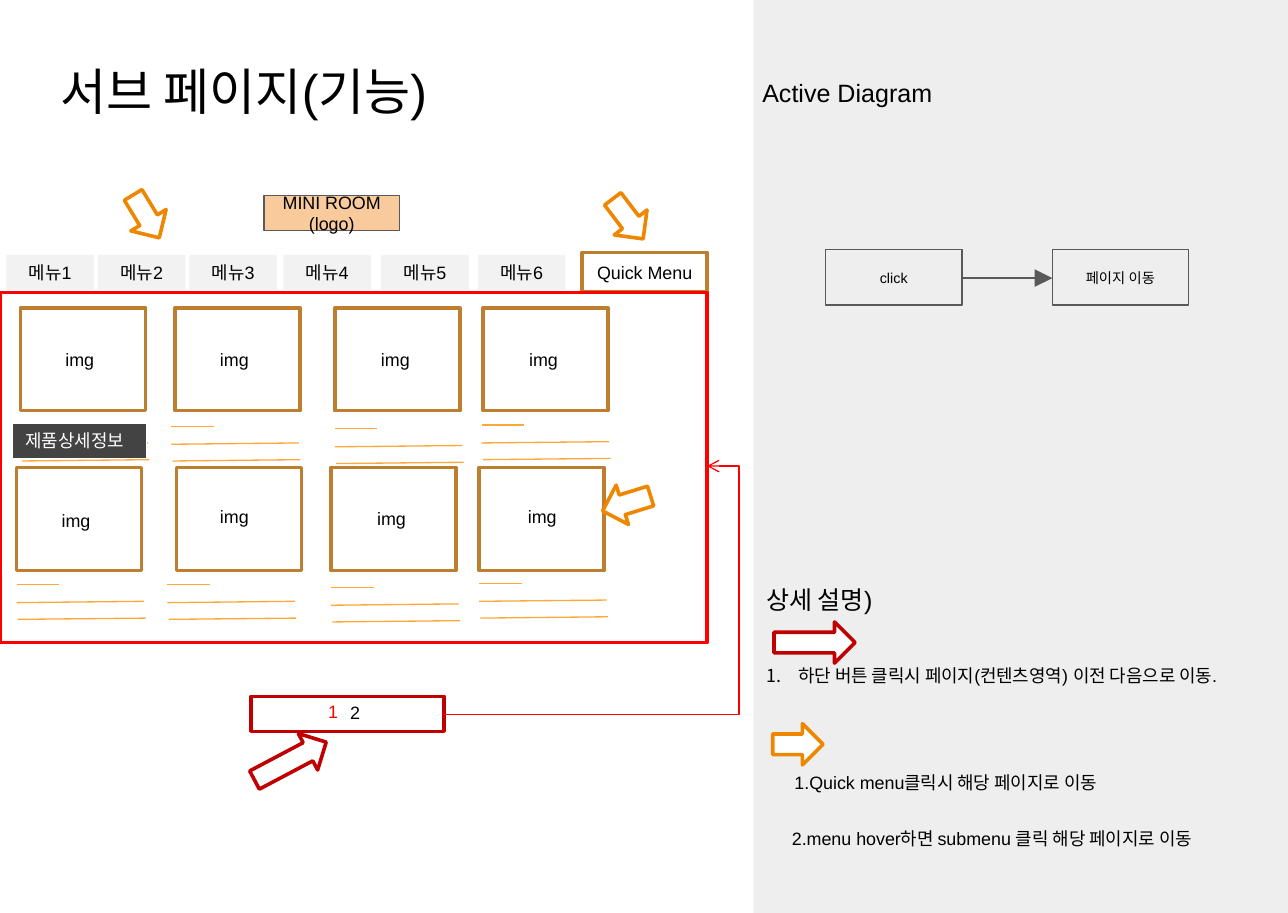
from lxml import etree
from pptx import Presentation
from pptx.dml.color import RGBColor
from pptx.enum.shapes import MSO_CONNECTOR, MSO_SHAPE
from pptx.enum.text import MSO_ANCHOR, PP_ALIGN
from pptx.oxml.ns import qn
from pptx.util import Emu, Pt

PX = 9144  # 100 px to the inch
RECT, ARROW = MSO_SHAPE.RECTANGLE, MSO_SHAPE.RIGHT_ARROW
STRAIGHT, ELBOW = MSO_CONNECTOR.STRAIGHT, MSO_CONNECTOR.ELBOW
LEFT, CENTER = PP_ALIGN.LEFT, PP_ALIGN.CENTER
TOP, MIDDLE = MSO_ANCHOR.TOP, MSO_ANCHOR.MIDDLE

BLACK, WHITE, PANEL, GREY = "000000", "FFFFFF", "EEEEEE", "595959"
RED, DARK_RED, ORANGE = "FF0000", "C00000", "EF8600"
BROWN, AMBER = "BD7F2F", "FEA83A"


def px(*values):
    return [Emu(v * PX) for v in values]


def rgb(color):
    return RGBColor.from_string(color)


class Wireframe:
    font = "Arial"

    def __init__(self, slide):
        self.shapes = slide.shapes

    def set_text(self, s, text, size=10, color=BLACK, align=LEFT, anchor=TOP, pad=5):
        tf = s.text_frame
        tf.word_wrap = True
        tf.vertical_anchor = anchor
        tf.margin_left, tf.margin_right = px(10, 10)
        tf.margin_top, tf.margin_bottom = px(pad, pad)
        tf.text = text
        p = tf.paragraphs[0]
        p.alignment = align
        self.style(p, size, color)
        return tf

    def style(self, p, size, color=BLACK):
        p.font.name = self.font
        p.font.size = Pt(size)
        p.font.color.rgb = rgb(color)

    def title(self, x, y, w, h, text, size):
        s = self.shapes.title
        s.left, s.top, s.width, s.height = px(x, y, w, h)
        self.set_text(s, text, size, pad=10)

    def label(self, x, y, w, h, text, size=10, color=BLACK, pad=5):
        s = self.shapes.add_textbox(*px(x, y, w, h))
        return self.set_text(s, text, size, color, pad=pad)

    def box(self, x, y, w, h, fill=None, line=None, width=2.0, kind=RECT, angle=0):
        s = self.shapes.add_shape(kind, *px(x, y, w, h))
        s.shadow.inherit = False
        s.rotation = angle
        if fill:
            s.fill.solid()
            s.fill.fore_color.rgb = rgb(fill)
        else:
            s.fill.background()
        if line:
            s.line.color.rgb = rgb(line)
            s.line.width = Pt(width)
        else:
            s.line.fill.background()
        return s

    def arrow(self, x, y, w, color, angle=0):
        self.box(x, y, w, 32, WHITE, color, kind=ARROW, angle=angle)

    def line(self, x1, y1, x2, y2, color, kind=STRAIGHT, head=None, head_size="med", bend=None):
        s = self.shapes.add_connector(kind, *px(x1, y1, x2, y2))
        s.line.color.rgb = rgb(color)
        s.line.width = Pt(0.75)
        sp_pr = s._element.spPr
        if head:
            etree.SubElement(sp_pr.find(qn("a:ln")), qn("a:tailEnd"),
                             type=head, w=head_size, len=head_size)
        if bend:
            guides = sp_pr.find(qn("a:prstGeom")).find(qn("a:avLst"))
            etree.SubElement(guides, qn("a:gd"), name="adj1", fmla=f"val {bend}")
        etree.SubElement(sp_pr, qn("a:effectLst"))

    def number(self, p, indent):
        p_pr = p._p.get_or_add_pPr()
        p_pr.set("marL", str(indent * PX))
        p_pr.set("indent", str(-indent * PX))
        etree.SubElement(p_pr, qn("a:buFont"), typeface=self.font)
        etree.SubElement(p_pr, qn("a:buAutoNum"), type="arabicPeriod")

    def card(self, x, y, text_x, text_y, line_x, line_y, short=True):
        self.box(x, y, 97, 80, line=BROWN)
        if short:
            self.line(line_x, line_y, line_x + 33, line_y, AMBER)
        for dx, dy in ((0, 14), (1, 27)):
            self.line(line_x + dx, line_y + dy, line_x + dx + 99, line_y + dy - 1, AMBER)
        self.label(text_x, text_y, 56, 27, "img")


def main():
    prs = Presentation()
    prs.slide_width, prs.slide_height = px(1000, 709)
    page = Wireframe(prs.slides.add_slide(prs.slide_layouts[5]))

    # Side panel: diagram
    page.box(585, 0, 415, 709, PANEL)
    page.label(582, 50, 333, 79, "Active Diagram", 14, pad=10)
    for x, text in ((641, "click"), (817, "페이지 이동")):
        step = page.box(x, 194, 106, 43, PANEL, GREY, 0.75)
        page.set_text(step, text, 8, align=CENTER, anchor=MIDDLE)
    page.line(747, 216, 817, 216, GREY, head="triangle", head_size="lg")

    # Side panel: description
    tf = page.label(585, 444, 415, 221, "상세 설명)", 14, pad=10)
    p = tf.add_paragraph()
    p.text = "하단 버튼 클릭시 페이지(컨텐츠영역) 이전 다음으로 이동."
    p.space_before = Pt(28)
    page.number(p, 25)
    page.style(p, 10)
    page.arrow(601, 483, 63, DARK_RED)
    page.arrow(600, 562, 39, ORANGE)
    page.label(607, 594, 350, 27, "1.Quick menu클릭시 해당 페이지로 이동")
    page.label(605, 638, 390, 27, "2.menu hover하면 submenu 클릭 해당 페이지로 이동")

    # Page header and menu
    page.title(37, 37, 505, 79, "서브 페이지(기능)", 28)
    logo = page.box(205, 152, 105, 27, "F9CB9C", GREY, 0.75)
    page.set_text(logo, "MINI ROOM\v(logo)", align=CENTER, anchor=MIDDLE)
    for i, x in enumerate((5, 76, 147, 220, 296, 371), 1):
        page.set_text(page.box(x, 198, 68, 27, "F2F2F2"), f"메뉴{i}", align=CENTER)
    quick = page.box(452, 196, 97, 31, line=BROWN)
    page.set_text(quick, "Quick Menu", align=CENTER, anchor=MIDDLE)

    # Product cards: frame, caption and text-line positions
    cards = (
        (16, 239, 41, 266, 16, 331, False),
        (136, 239, 161, 266, 133, 331),
        (260, 239, 286, 266, 260, 333),
        (375, 239, 401, 266, 374, 330),
        (13, 363, 38, 391, 13, 454),
        (137, 363, 161, 388, 130, 454),
        (257, 363, 283, 389, 257, 456),
        (372, 363, 400, 388, 372, 453),
    )
    for card in cards:
        page.card(*card)
    detail = page.box(10, 329, 104, 27, "434343", WHITE, 0.75)
    page.set_text(detail, "제품상세정보", color=WHITE)
    page.box(0, 227, 549, 272, line=RED)

    # Pager and its link to the content area
    page.arrow(194, 575, 63, DARK_RED, 332.1)
    page.box(195, 541, 150, 27, line=DARK_RED)
    page.label(245, 539, 27, 27, "1", color=RED)
    page.label(262, 540, 27, 27, "2")
    page.line(345, 555, 549, 362, RED, ELBOW, "arrow", bend=112200)

    # Pointers to menu, quick menu and card
    for x, y, angle in ((94, 152, 58.7), (468, 154, 52.8), (467, 375, 162.7)):
        page.arrow(x, y, 39, ORANGE, angle)

    prs.save("out.pptx")


if __name__ == "__main__":
    main()
